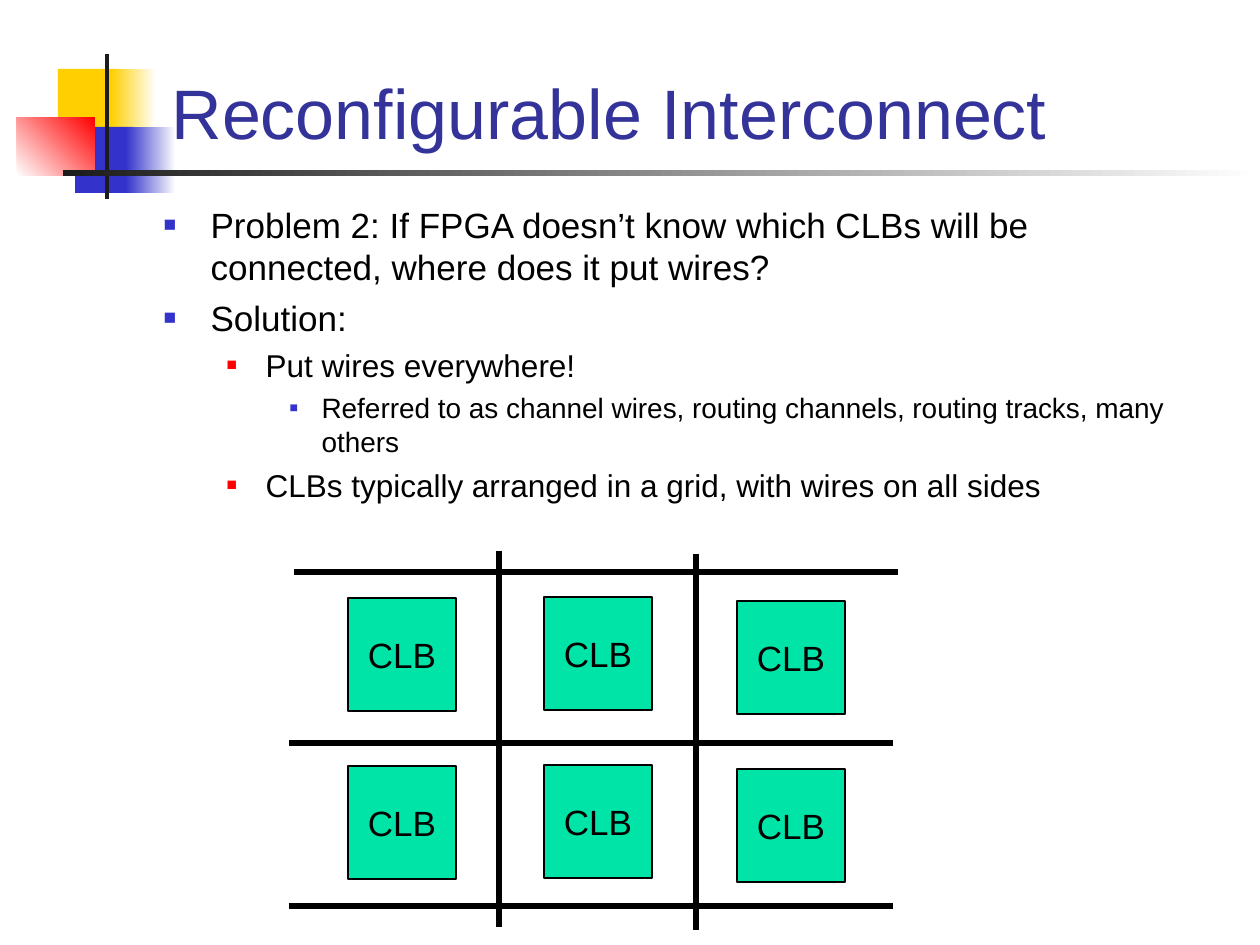
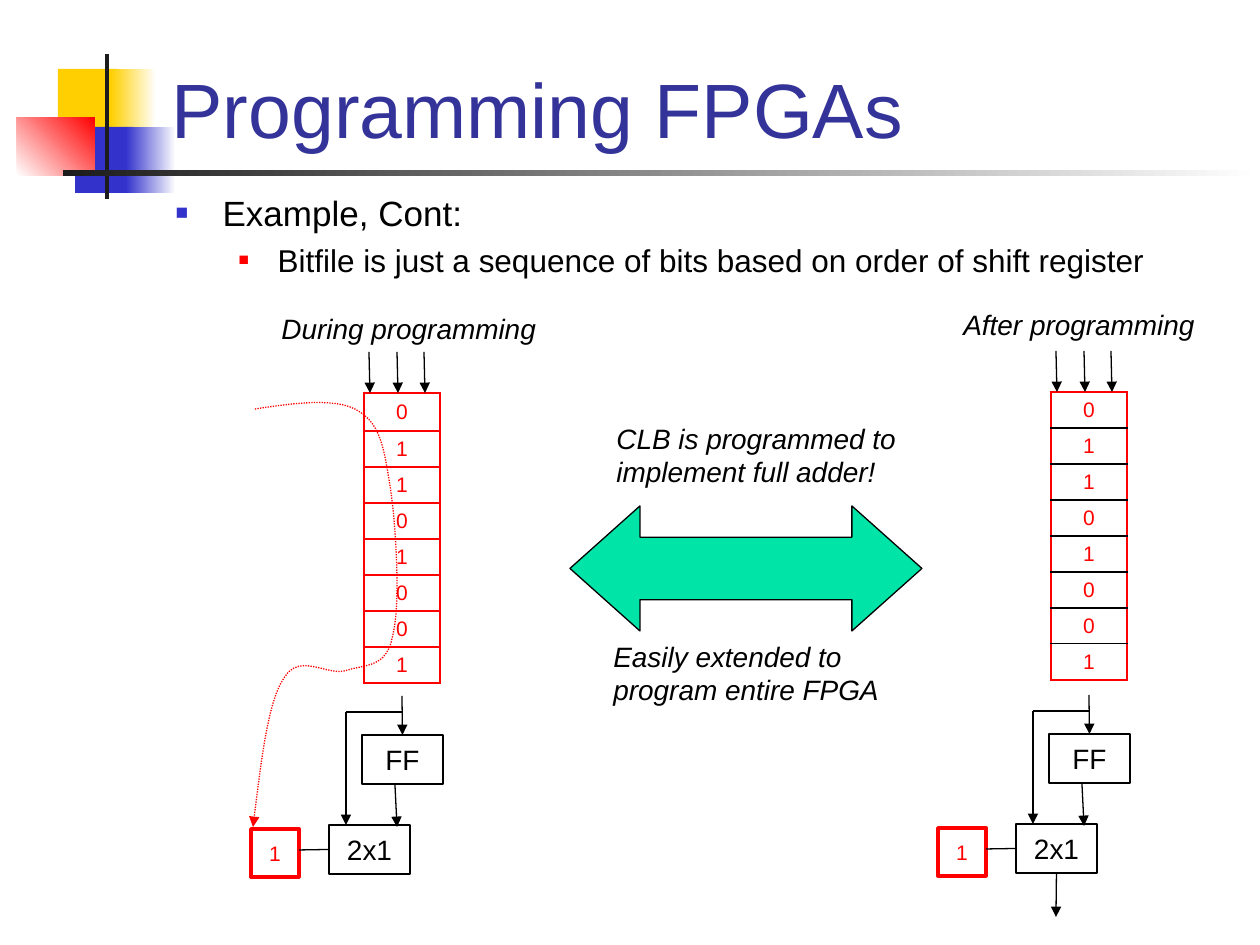
import pptx
import pptx.dml.color
import pptx.enum.dml
import pptx.enum.shapes
import pptx.enum.text
import pptx.oxml
import pptx.oxml.ns
import pptx.util

EMU_PER_PX = 914400 / 126
FONT = "Arial"
COLORS = {
    "white": "FFFFFF", "black": "000000", "ink": "1C1C1C", "title": "333399",
    "yellow": "FFCF01", "blue": "3333CC", "red": "FF0000", "green": "00E4A8",
}
# Per list level: font size, left margin px, hanging px, bullet colour, bullet size %
LEVELS = [
    (20, 47, 47, "blue", 60),
    (18, 102, 39, "red", 55),
    (16, 158, 32, "blue", 50),
]
SHAPES = pptx.enum.shapes.MSO_SHAPE
ANCHOR = pptx.enum.text.MSO_ANCHOR
ALIGN = pptx.enum.text.PP_ALIGN
qn = pptx.oxml.ns.qn


def emu(*pixels):
    return [pptx.util.Emu(round(value * EMU_PER_PX)) for value in pixels]


def rgb(name):
    return pptx.dml.color.RGBColor.from_string(COLORS[name])


def add_xml(parent, tag, content="", attributes=""):
    parent.append(pptx.oxml.parse_xml(
        f'<a:{tag} xmlns:a="http://schemas.openxmlformats.org/drawingml/2006/main" '
        f'{attributes}>{content}</a:{tag}>'))


def solid_xml(color):
    return f'<a:solidFill><a:srgbClr val="{COLORS[color]}"/></a:solidFill>'


class SlideWriter:
    """Holds the deck, its style and the page being drawn."""

    def __init__(self):
        self.deck = pptx.Presentation()
        self.deck.slide_width, self.deck.slide_height = emu(1260, 945)
        self.layout = self.deck.slide_layouts[1]
        self.page = None

    def new_page(self, title, title_size, body_left, body_top, items):
        first = self.page is None
        self.page = self.deck.slides.add_slide(self.layout)
        if first:
            self.decorate_layout()
        self.title(title, title_size)
        self.bullets(body_left, body_top, items)

    # Shared decoration, kept on the layout behind every page
    def decorate_layout(self):
        blocks = [
            (58, 69, 60, 66, "yellow", None, 0),
            (111, 69, 45, 66, "yellow", "white", 0),
            (75, 127, 58, 66, "blue", None, 0),
            (126, 127, 50, 66, "blue", "white", 0),
            (17, 117, 78, 59, "white", "red", 45),
            (105, 54, 4, 145, "ink", None, 0),
            (63, 170, 1197, 6, "ink", "white", 0),
        ]
        for number, (left, top, width, height, color, fade, angle) in enumerate(blocks):
            block = self.shape(left, top, width, height, fill=color, line=None)
            if fade:
                block.fill.gradient()
                block.fill.gradient_angle = angle
                for stop, name in zip(block.fill.gradient_stops, (color, fade)):
                    stop.color.rgb = rgb(name)
            block.element.nvSpPr.cNvPr.set("id", str(100 + number))
            self.layout.shapes.element.append(block.element)

    def format_runs(self, para, size, color="black", italic=False):
        for span in para.runs:
            span.font.name = FONT
            span.font.size = pptx.util.Pt(size)
            span.font.color.rgb = rgb(color)
            span.font.italic = italic

    def place(self, box, left, top, width, height):
        box.left, box.top, box.width, box.height = emu(left, top, width, height)
        box.text_frame.word_wrap = True
        box.text_frame.auto_size = pptx.enum.text.MSO_AUTO_SIZE.NONE

    def title(self, text, size):
        box = self.page.shapes.title
        self.place(box, 159, 2, 1074, 158)
        box.text_frame.text = text
        box.text_frame.vertical_anchor = ANCHOR.BOTTOM
        para = box.text_frame.paragraphs[0]
        para.alignment = ALIGN.LEFT
        self.format_runs(para, size, "title")

    def bullets(self, left, top, items):
        box = self.page.placeholders[1]
        self.place(box, left, top, 1071, 645)
        box.text_frame.text = "\n".join(text for level, text in items)
        for index, (para, (level, text)) in enumerate(zip(box.text_frame.paragraphs, items)):
            size, margin, hanging, color, percent = LEVELS[level]
            para.level = level
            properties = para._p.get_or_add_pPr()
            properties.set("marL", str(emu(margin)[0]))
            properties.set("indent", str(-emu(hanging)[0]))
            add_xml(properties, "buClr", f'<a:srgbClr val="{COLORS[color]}"/>')
            add_xml(properties, "buSzPct", attributes=f'val="{percent * 1000}"')
            add_xml(properties, "buFont", attributes=f'typeface="{FONT}"')
            add_xml(properties, "buChar", attributes='char="■"')
            para.space_before = pptx.util.Pt(size / 4 if index else 0)
            self.format_runs(para, size)

    def shape(self, left, top, width, height, text="", size=16, color="black",
              fill="white", line="black", weight=0.75, kind=SHAPES.RECTANGLE):
        box = self.page.shapes.add_shape(kind, *emu(left, top, width, height))
        box.shadow.inherit = False
        self.paint(box, fill, line, weight)
        if text:
            frame = box.text_frame
            frame.text = text
            frame.word_wrap = False
            frame.vertical_anchor = ANCHOR.MIDDLE
            frame.paragraphs[0].alignment = ALIGN.CENTER
            self.format_runs(frame.paragraphs[0], size, color)
        return box

    def paint(self, box, fill, line, weight):
        if fill:
            box.fill.solid()
            box.fill.fore_color.rgb = rgb(fill)
        else:
            box.fill.background()
        if line:
            box.line.color.rgb = rgb(line)
            box.line.width = pptx.util.Pt(weight)
        else:
            box.line.fill.background()

    def arrowhead(self, drawn):
        add_xml(drawn.element.spPr.find(qn("a:ln")), "tailEnd", attributes='type="triangle"')

    def line(self, x1, y1, x2, y2, weight=0.75, arrow=False):
        wire = self.page.shapes.add_connector(
            pptx.enum.shapes.MSO_CONNECTOR.STRAIGHT, *emu(x1, y1, x2, y2))
        wire.line.color.rgb = rgb("black")
        wire.line.width = pptx.util.Pt(weight)
        add_xml(wire.element.spPr, "effectLst")
        if arrow:
            self.arrowhead(wire)
        return wire

    def dotted_curve(self, start, curves, steps=12):
        """Draws a chain of cubic curves, each (control, control, end)."""
        points = [start]
        for control1, control2, end in curves:
            corners = (points[-1], control1, control2, end)
            for step in range(1, steps + 1):
                t = step / steps
                weights = ((1 - t) ** 3, 3 * t * (1 - t) ** 2, 3 * t * t * (1 - t), t ** 3)
                points.append(tuple(
                    sum(w * corner[axis] for w, corner in zip(weights, corners))
                    for axis in (0, 1)))
        builder = self.page.shapes.build_freeform(*emu(*start))
        builder.add_line_segments([emu(*point) for point in points[1:]], close=False)
        curve = builder.convert_to_shape()
        curve.shadow.inherit = False
        self.paint(curve, None, "red", 0.75)
        curve.line.dash_style = pptx.enum.dml.MSO_LINE.ROUND_DOT
        self.arrowhead(curve)

    def caption(self, left, top, height, text):
        box = self.page.shapes.add_textbox(*emu(left, top, 310, height))
        box.text_frame.word_wrap = True
        box.text_frame.text = text
        self.format_runs(box.text_frame.paragraphs[0], 16, italic=True)

    def bit_table(self, left, top, bits, first_height, inner_color, inner_weight):
        heights = [first_height] + [36] * (len(bits) - 1)
        table = self.page.shapes.add_table(
            len(bits), 1, *emu(left, top, 76, sum(heights))).table
        table.first_row = table.horz_banding = False
        outer, inner = ("red", 1.5), (inner_color, inner_weight)
        last = len(bits) - 1
        for index, (bit, height) in enumerate(zip(bits, heights)):
            table.rows[index].height = emu(height)[0]
            cell = table.cell(index, 0)
            cell.text_frame.text = bit
            cell.text_frame.paragraphs[0].alignment = ALIGN.CENTER
            self.format_runs(cell.text_frame.paragraphs[0], 12, "red")
            cell.margin_top = cell.margin_bottom = emu(4)[0]
            cell.vertical_anchor = ANCHOR.MIDDLE
            edges = {"lnL": outer, "lnR": outer,
                     "lnT": inner if index else outer,
                     "lnB": inner if index < last else outer}
            for tag, (color, weight) in edges.items():
                add_xml(cell._tc.get_or_add_tcPr(), tag, solid_xml(color),
                        f'w="{pptx.util.Pt(weight)}"')
            cell.fill.background()

    # Lookup table, flip-flop and multiplexer of one CLB
    def logic_block(self, dx, dy, first_height, inner_color, inner_weight, output):
        flip_flop = self.shape(362 + dx, 735 + dy, 81, 49, "FF")
        mux = self.shape(329 + dx, 825 + dy, 81, 49, "2x1")
        self.shape(251 + dx, 829 + dy, 48, 48, "1", 12, "red", None, "red", 2)
        self.bit_table(364 + dx, 393 + dy, "01101001", first_height,
                       inner_color, inner_weight)
        for x in (369, 397, 424):
            self.line(x + dx, 352 + dy, x + 1 + dx, 393 + dy, arrow=True)
        to_flip_flop = self.line(402 + dx, 696 + dy, 403 + dx, 735 + dy, arrow=True)
        to_flip_flop.end_connect(flip_flop, 0)
        self.line(346 + dx, 712 + dy, 402 + dx, 712 + dy)
        self.line(346 + dx, 712 + dy, 346 + dx, 825 + dy, arrow=True)
        self.line(395 + dx, 785 + dy, 397 + dx, 827 + dy, arrow=True)
        select = self.line(299 + dx, 850 + dy, 329 + dx, 850 + dy)
        select.end_connect(mux, 1)
        if output:
            result = self.line(368 + dx, 874 + dy, 369 + dx, 918 + dy, arrow=True)
            result.begin_connect(mux, 2)


def interconnect_page(writer):
    writer.new_page("Reconfigurable Interconnect", 40, 151, 197, [
        (0, "Problem 2: If FPGA doesn’t know which CLBs will be connected, "
            "where does it put wires?"),
        (0, "Solution:"),
        (1, "Put wires everywhere!"),
        (2, "Referred to as channel wires, routing channels, routing tracks, many others"),
        (1, "CLBs typically arranged in a grid, with wires on all sides"),
    ])
    # Grid of logic blocks
    for row in range(2):
        for left, top in ((348, 598), (544, 597), (737, 601)):
            writer.shape(left, top + 168 * row, 108, 113, "CLB", 20, fill="green")
    # Routing channels
    for left, y in ((294, 572), (289, 743), (289, 906)):
        writer.line(left, y, left + 604, y, 3.25)
    for x, top in ((499, 551), (696, 554)):
        writer.line(x, top, x, top + 376, 3.25)


def programming_page(writer):
    writer.new_page("Programming FPGAs", 44, 163, 185, [
        (0, "Example, Cont:"),
        (1, "Bitfile is just a sequence of bits based on order of shift register"),
    ])
    # The block during and after programming
    writer.logic_block(0, 0, 38, "red", 1.5, output=False)
    writer.dotted_curve((255, 409), [
        ((294, 403), (333, 398), (355, 409)),
        ((378, 421), (383, 441), (389, 479)),
        ((396, 517), (401, 604), (393, 635)),
        ((387, 668), (367, 664), (348, 670)),
        ((329, 678), (300, 651), (284, 678)),
        ((267, 703), (261, 765), (253, 827)),
    ])
    writer.logic_block(687, -1, 36, "black", 1, output=True)
    # Captions and double arrow
    writer.caption(951, 301, 47, "After programming")
    writer.caption(269, 305, 47, "During programming")
    arrow = writer.shape(570, 506, 352, 125, fill="green", kind=SHAPES.LEFT_RIGHT_ARROW)
    arrow.adjustments[0], arrow.adjustments[1] = 0.5, 0.56
    writer.caption(604, 415, 81, "CLB is programmed to implement full adder!")
    writer.caption(601, 633, 81, "Easily extended to program entire FPGA")


def main():
    writer = SlideWriter()
    interconnect_page(writer)
    programming_page(writer)
    writer.deck.save("out.pptx")


if __name__ == "__main__":
    main()
